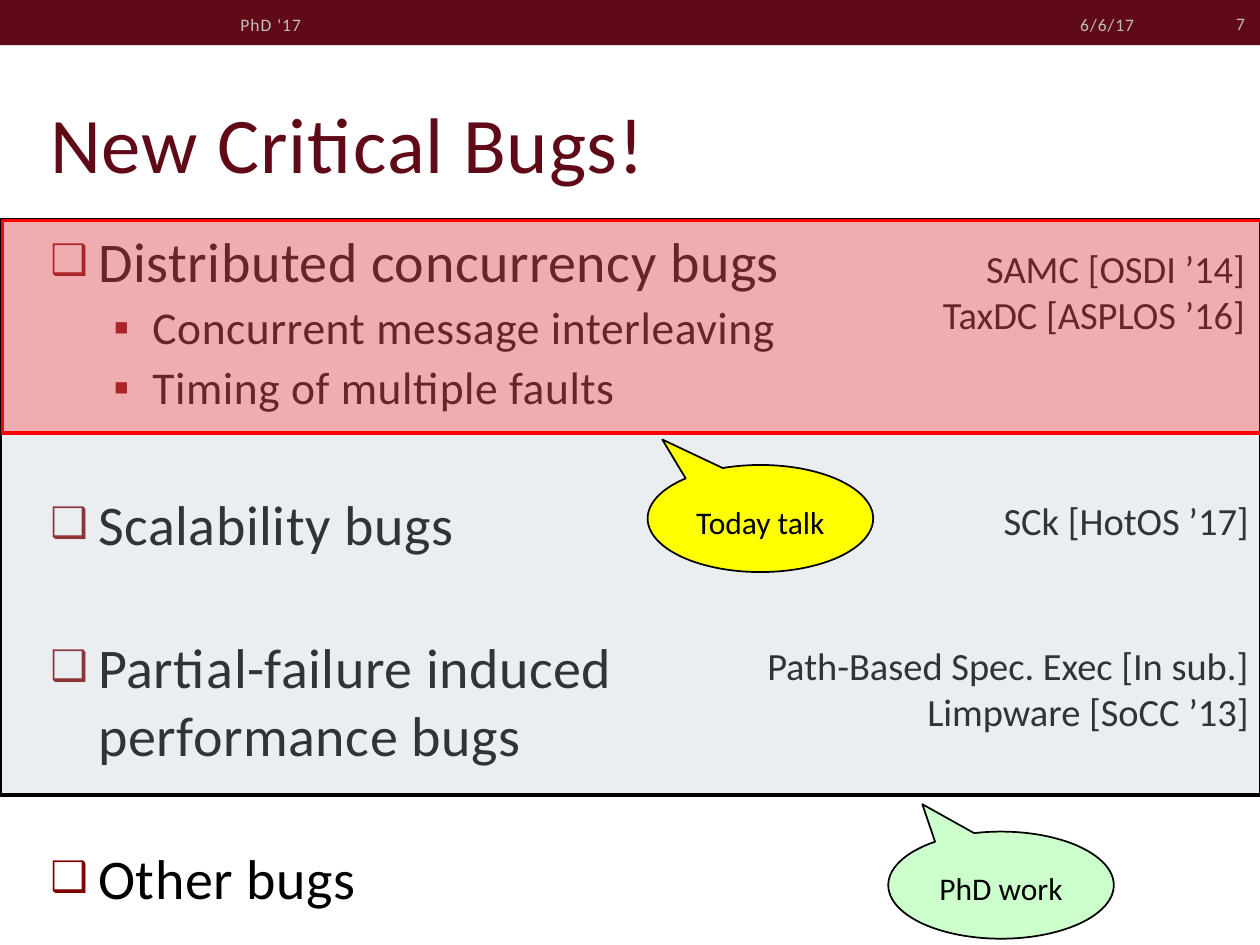
from lxml import etree
from pptx import Presentation
from pptx.dml.color import RGBColor
from pptx.enum.shapes import MSO_SHAPE
from pptx.enum.text import MSO_ANCHOR, MSO_AUTO_SIZE, PP_ALIGN
from pptx.oxml.ns import qn
from pptx.util import Inches, Pt

RECT, CALLOUT = MSO_SHAPE.RECTANGLE, MSO_SHAPE.OVAL_CALLOUT
LEFT, CENTER, RIGHT = PP_ALIGN.LEFT, PP_ALIGN.CENTER, PP_ALIGN.RIGHT
TOP, MIDDLE, BOTTOM = MSO_ANCHOR.TOP, MSO_ANCHOR.MIDDLE, MSO_ANCHOR.BOTTOM
NO_FIT = MSO_AUTO_SIZE.NONE

MAROON = RGBColor(0x60, 0x0A, 0x18)
BULLET = RGBColor(0x80, 0x00, 0x00)
BLACK = RGBColor(0x00, 0x00, 0x00)
GRAY = RGBColor(0xBF, 0xBF, 0xBF)
SLATE = RGBColor(0xB2, 0xC1, 0xCE)
RED = RGBColor(0xFF, 0x00, 0x00)
GREEN = RGBColor(0xCC, 0xFF, 0xCC)
YELLOW = RGBColor(0xFF, 0xFF, 0x00)

# Per list level: bullet, its size in %, indent and hanging in inches, text size
LEVELS = [("❑", 75, 0.38, 0.38, 32), ("▪", 100, 0.81, 0.31, 26)]


class SlideBuilder:
    font = "Calibri"

    def __init__(self, prs):
        self.s = prs.slides.add_slide(prs.slide_layouts[1])

    def place(self, sp, box):
        sp.left, sp.top, sp.width, sp.height = map(Inches, box)

    def frame(self, tf, anchor, insets=(0.1, 0.05, 0.1, 0.05)):
        sides = ("margin_left", "margin_top", "margin_right", "margin_bottom")
        values = dict(zip(sides, map(Inches, insets)), word_wrap=True,
                      auto_size=NO_FIT, vertical_anchor=anchor)
        for name, value in values.items():
            setattr(tf, name, value)

    def set_text(self, p, text, size, color=BLACK, align=LEFT, spacing=0):
        p.alignment = align
        p.text = text
        for r in p.runs:
            values = dict(name=self.font, size=Pt(size), bold=False)
            for name, value in values.items():
                setattr(r.font, name, value)
            r.font.color.rgb = color
            if spacing:
                r._r.get_or_add_rPr().set("spc", str(round(spacing * 100)))

    def lines(self, tf, texts, *style):
        for i, text in enumerate(texts):
            p = tf.add_paragraph() if i else tf.paragraphs[0]
            self.set_text(p, text, *style)

    def title(self, text, box):
        sp = self.s.shapes.title
        self.place(sp, box)
        self.frame(sp.text_frame, BOTTOM)
        self.set_text(sp.text_frame.paragraphs[0], text, 45, MAROON, LEFT, 0.5)

    def add_bullet(self, p, char, percent, indent, hanging):
        pPr = p._p.get_or_add_pPr()
        pPr.set("marL", str(Inches(indent)))
        pPr.set("indent", str(-Inches(hanging)))
        clr = etree.SubElement(pPr, qn("a:buClr"))
        etree.SubElement(clr, qn("a:srgbClr"), val=str(BULLET))
        etree.SubElement(pPr, qn("a:buSzPct"), val=str(percent * 1000))
        etree.SubElement(pPr, qn("a:buFont"), typeface="Arial")
        etree.SubElement(pPr, qn("a:buChar"), char=char)

    def body(self, items, box):
        sp = self.s.placeholders[1]
        self.place(sp, box)
        tf = sp.text_frame
        self.frame(tf, TOP)
        for i, (level, before, text) in enumerate(items):
            p = tf.add_paragraph() if i else tf.paragraphs[0]
            *bullet, size = LEVELS[level]
            p.level, p.space_before = level, Pt(before)
            self.add_bullet(p, *bullet)
            self.set_text(p, text, size, BLACK, LEFT, 0.3)

    def textbox(self, texts, box, size, color, align, spacing=0, inset_y=0.05):
        tf = self.s.shapes.add_textbox(*map(Inches, box)).text_frame
        self.frame(tf, MIDDLE, (0.1, inset_y, 0.1, inset_y))
        self.lines(tf, texts, size, color, align, spacing)

    def shape(self, kind, box, fill, line=None, width=1, alpha=None):
        sp = self.s.shapes.add_shape(kind, *map(Inches, box))
        sp.shadow.inherit = False
        sp.fill.solid()
        sp.fill.fore_color.rgb = fill
        if alpha is not None:
            clr = sp._element.spPr.find(qn("a:solidFill"))[0]
            etree.SubElement(clr, qn("a:alpha"), val=str(alpha * 1000))
        if line is None:
            sp.line.fill.background()
        else:
            sp.line.color.rgb = line
            sp.line.width = Pt(width)
        return sp

    def callout(self, text, left, top, tip, fill):
        sp = self.shape(CALLOUT, (left, top, 1.79, 0.85), fill, BLACK)
        sp.adjustments[0], sp.adjustments[1] = tip
        self.frame(sp.text_frame, MIDDLE, (0.1, 0.05, 0.1, 0))
        self.lines(sp.text_frame, [text], 18, BLACK, CENTER)


def main():
    prs = Presentation()
    prs.slide_width, prs.slide_height = Inches(10), Inches(7.5)
    b = SlideBuilder(prs)

    # Header band
    b.shape(RECT, (0, 0, 10, 0.36), MAROON)
    b.textbox(["6/6/17"], (7.31, 0.05, 1.79, 0.29), 10, GRAY, RIGHT, 0.6)
    b.textbox(["PhD '17"], (1.81, 0.05, 3.56, 0.29), 10, GRAY, LEFT, 0.6)
    b.textbox(["7"], (9.1, -0.01, 0.88, 0.4), 10, GRAY, RIGHT)

    # Title and bug list
    b.title("New Critical Bugs!", (0.3, 0.3, 9.43, 1.25))
    b.body([
        (0, 0, "Distributed concurrency bugs"),
        (1, 3, "Concurrent message interleaving"),
        (1, 3, "Timing of multiple faults"),
        (0, 43.4, "Scalability bugs"),
        (0, 43.4, "Partial-failure induced\vperformance bugs"),
        (0, 43.4, "Other bugs"),
    ], (0.3, 1.75, 9.43, 5.6))

    # Publications
    for texts, box in [
        (["SAMC [OSDI ’14]", "TaxDC [ASPLOS ’16]"], (6.73, 1.67, 3.25, 1.28)),
        (["SCk [HotOS ’17]"], (7.32, 3.72, 2.69, 0.82)),
        (["Path-Based Spec. Exec [In sub.]", "Limpware [SoCC ’13]"],
         (5.5, 5.05, 4.51, 0.82)),
    ]:
        b.textbox(texts, box, 22, BLACK, RIGHT, inset_y=0)

    # Translucent highlights and their callouts
    b.shape(RECT, (0, 1.75, 10.01, 4.56), SLATE, BLACK, 2.25, 27)
    b.shape(RECT, (0.02, 1.75, 10.01, 1.69), RED, RED, 2.25, 27)
    b.callout("PhD work", 7.05, 6.6, (-0.349, -0.756), GREEN)
    b.callout("Today talk", 5.14, 3.69, (-0.435, -0.738), YELLOW)

    prs.save("out.pptx")


if __name__ == "__main__":
    main()
